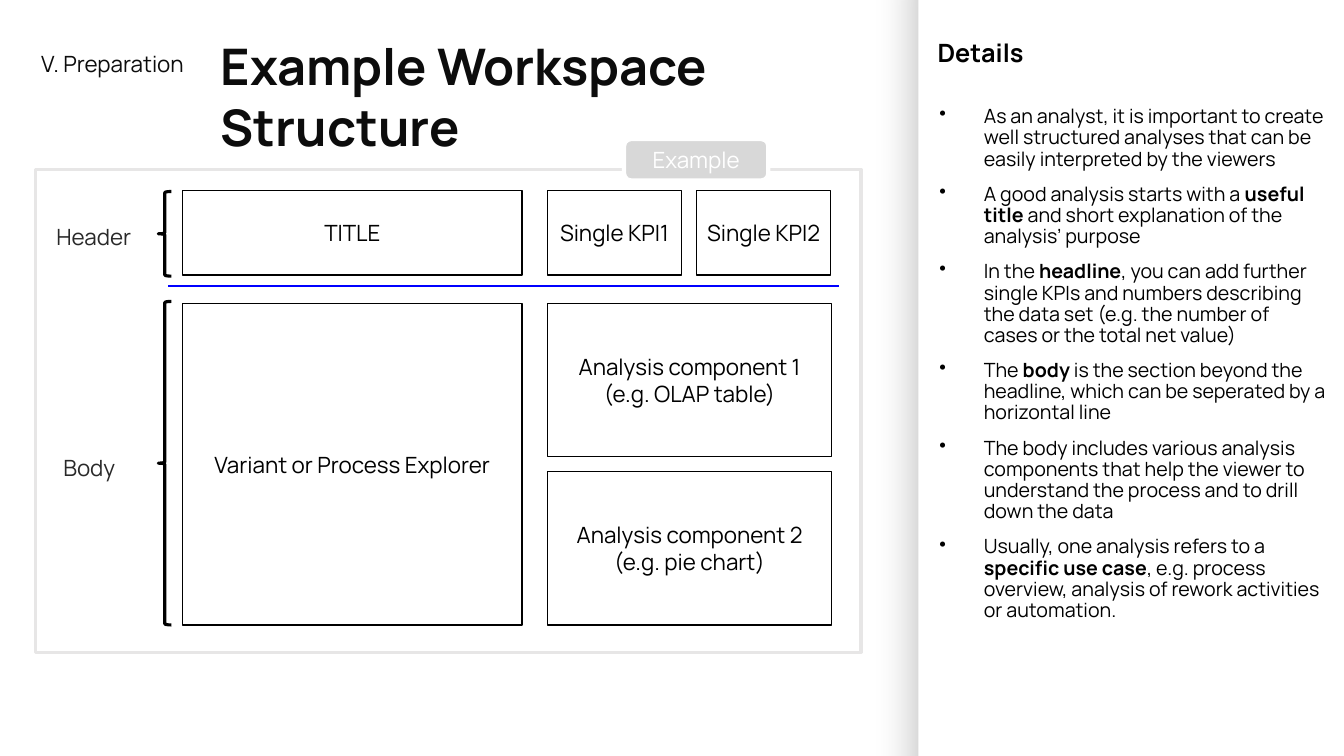
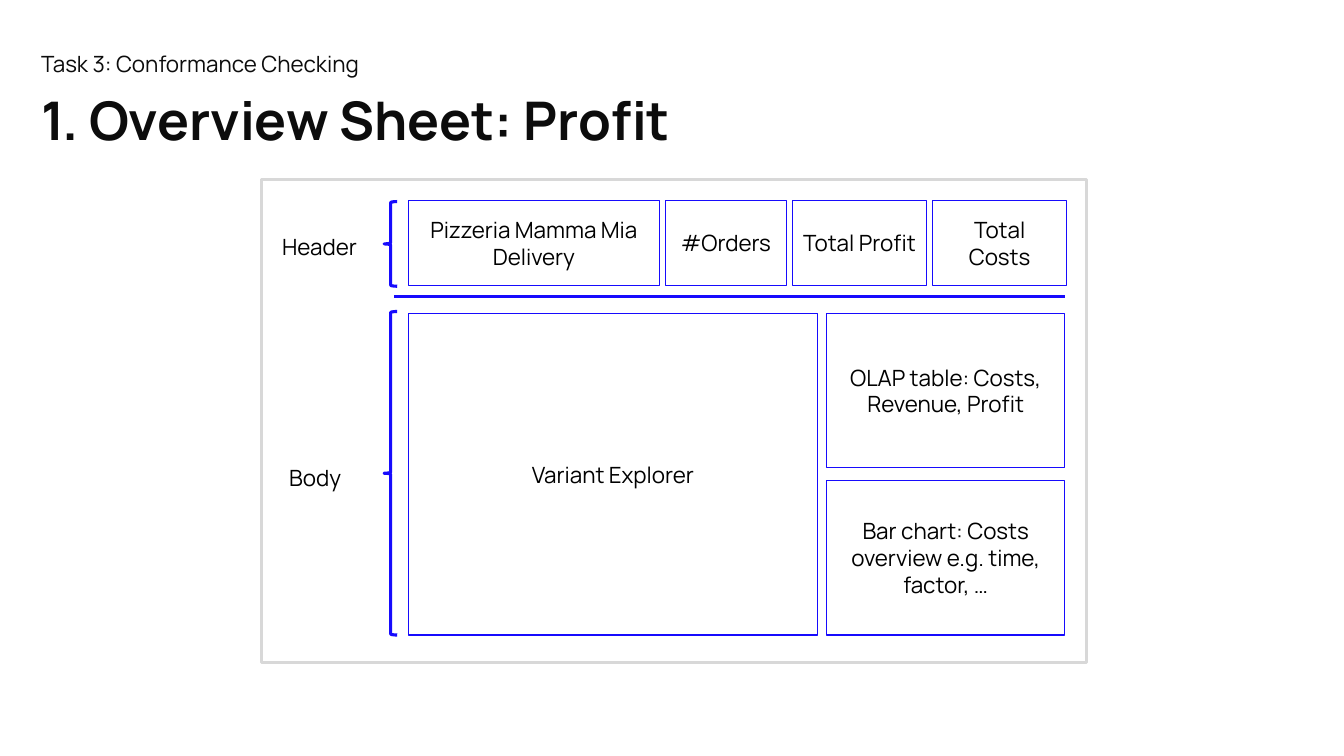
import itertools

import lxml.etree
import pptx
import pptx.dml.color
import pptx.enum.shapes
import pptx.enum.text
import pptx.oxml.ns
import pptx.util

FONT = "Manrope"
WHITE, BLACK, INK, GREY = "FFFFFF", "000000", "0C0C0C", "D8D8D8"
SHAPE = pptx.enum.shapes.MSO_SHAPE
ALIGN = pptx.enum.text.PP_ALIGN
ANCHOR = pptx.enum.text.MSO_ANCHOR
AUTO_SIZE = pptx.enum.text.MSO_AUTO_SIZE
Inches, Pt = pptx.util.Inches, pptx.util.Pt

# Wireframe geometry, measured from the corner of its frame.
FRAME_W, FRAME_H = 8.19, 4.79
BOX_LEFT = 1.46
HEADER_TOP, HEADER_H = 0.21, 0.84
RULE_LEFT, RULE_TOP, RULE_W = 1.32, 1.16, 6.65
BODY_TOP, BODY_H = 1.33, 3.19
BRACE_LEFT, BRACE_W = 1.22, 0.13

DETAILS = [
    "As an analyst, it is important to create well structured analyses that "
    "can be easily interpreted by the viewers",
    "A good analysis starts with a **useful title **and short explanation of "
    "the analysis’ purpose",
    "In the **headline**, you can add further single KPIs and numbers "
    "describing the data set (e.g. the number of cases or the total net value)",
    "The **body** is the section beyond the headline, which can be seperated "
    "by a horizontal line",
    "The body includes various analysis components that help the viewer to "
    "understand the process and to drill down the data",
    "Usually, one analysis refers to a **specific use case**, e.g. process "
    "overview, analysis of rework activities or automation.",
]


def rgb(color):
    return pptx.dml.color.RGBColor.from_string(color)


def add_xml(parent, tag, **attrs):
    child = lxml.etree.SubElement(parent, pptx.oxml.ns.qn(tag))
    for name, value in attrs.items():
        child.set(name, str(value))
    return child


def style_font(font, size, color, bold=False):
    font.name, font.size, font.bold = FONT, Pt(size), bold
    font.color.rgb = rgb(color)


def add_text(s, text, x, y, w, h, size=16, color=INK, bold=False, grow=True):
    sp = s.shapes.add_textbox(Inches(x), Inches(y), Inches(w), Inches(h))
    tf = sp.text_frame
    tf.word_wrap = True
    if grow:
        tf.auto_size = AUTO_SIZE.SHAPE_TO_FIT_TEXT
    tf.text = text
    for p in tf.paragraphs:
        for r in p.runs:
            style_font(r.font, size, color, bold)
    return sp


def add_block(s, kind, x, y, w, h, fill=None, line=None, weight=1.0,
              text="", color=BLACK):
    """Preset shape with optional fill, outline and centred text."""
    sp = s.shapes.add_shape(kind, Inches(x), Inches(y), Inches(w), Inches(h))
    sp.shadow.inherit = False
    if fill:
        sp.fill.solid()
        sp.fill.fore_color.rgb = rgb(fill)
    else:
        sp.fill.background()
    if line:
        sp.line.color.rgb = rgb(line)
        sp.line.width = Pt(weight)
    else:
        sp.line.fill.background()
    if text:
        tf = sp.text_frame
        tf.word_wrap = True
        tf.vertical_anchor = ANCHOR.MIDDLE
        tf.text = text
        for p in tf.paragraphs:
            p.alignment = ALIGN.CENTER
            for r in p.runs:
                style_font(r.font, 16, color)
    return sp


def add_rule(s, x, y, w, color):
    line = s.shapes.add_connector(
        pptx.enum.shapes.MSO_CONNECTOR.STRAIGHT,
        Inches(x), Inches(y), Inches(x + w), Inches(y))
    line.line.color.rgb = rgb(color)
    line.line.width = Pt(1.75)
    add_xml(line._element.spPr, "a:effectLst")


def add_bullets(s, items, x, y, w, h):
    """Bulleted list; text between ** marks is bold."""
    sp = s.shapes.add_textbox(Inches(x), Inches(y), Inches(w), Inches(h))
    tf = sp.text_frame
    tf.word_wrap = True
    for i, item in enumerate(items):
        p = tf.add_paragraph() if i else tf.paragraphs[0]
        pPr = p._p.get_or_add_pPr()
        pPr.set("marL", str(Inches(0.5)))
        pPr.set("indent", str(Inches(-0.44)))
        add_xml(add_xml(pPr, "a:buClr"), "a:srgbClr", val=BLACK)
        add_xml(pPr, "a:buChar", char="•")
        p.line_spacing = 0.9
        if i:
            p.space_before = Pt(10)
        for j, part in enumerate(item.split("**")):
            r = p.add_run()
            r.text = part
            style_font(r.font, 14, BLACK, bold=j % 2 == 1)


def add_side_panel(s):
    """White panel bleeding off the right edge, with a soft shadow."""
    panel = add_block(s, SHAPE.ROUNDED_RECTANGLE, 9.11, -0.54, 4.53, 8.64,
                      WHITE)
    panel.adjustments[0] = 0.084
    effects = panel._element.spPr.find(pptx.oxml.ns.qn("a:effectLst"))
    shadow = add_xml(effects, "a:outerShdw", blurRad=Pt(30), dist=Pt(3),
                     dir=135 * 60000, algn="tr", rotWithShape=0)
    add_xml(add_xml(shadow, "a:srgbClr", val=BLACK), "a:alpha", val=25000)
    heading = add_text(s, "Details", 9.14, 0.32, 1.25, 0.59, 18, BLACK,
                       bold=True, grow=False)
    heading.text_frame.paragraphs[0]._p.get_or_add_pPr().set(
        "marL", str(Inches(0.06)))
    add_bullets(s, DETAILS, 9.16, 1.01, 4.1, 6.14)


def add_wireframe(s, left, top, header, main, components, frame_line, rule,
                  outline, label_color, fill=None):
    """Framed sheet sketch.

    header: (x, width, text) boxes; main: (width, text);
    components: (x, width, gap, texts) stacked beside the main box.
    """
    add_block(s, SHAPE.RECTANGLE, left, top, FRAME_W, FRAME_H,
              line=frame_line, weight=2.25)
    add_rule(s, left + RULE_LEFT, top + RULE_TOP, RULE_W, rule)
    for label, dx, dy, brace_y, brace_h in (
            ("Header", 0.11, 0.48, HEADER_TOP + 0.01, HEADER_H),
            ("Body", 0.18, 2.78, BODY_TOP - 0.02, BODY_H + 0.02)):
        add_block(s, SHAPE.LEFT_BRACE, left + BRACE_LEFT, top + brace_y,
                  BRACE_W, brace_h, fill, outline, 2.25)
        add_text(s, label, left + dx, top + dy, 1.21, 0.37, color=label_color)

    boxes = [(x, HEADER_TOP, w, HEADER_H, text) for x, w, text in header]
    boxes.append((BOX_LEFT, BODY_TOP, main[0], BODY_H, main[1]))
    x, w, gap, texts = components
    h = (BODY_H - gap * (len(texts) - 1)) / len(texts)
    boxes += [(x, BODY_TOP + i * (h + gap), w, h, text)
              for i, text in enumerate(texts)]
    for x, y, w, h, text in boxes:
        add_block(s, SHAPE.RECTANGLE, left + x, top + y, w, h, fill, outline,
                  text=text)


def row(x, gap, *cells):
    """Place (width, text) cells from x with equal gaps."""
    starts = itertools.accumulate((w + gap for w, _ in cells), initial=x)
    return [(start, w, text) for start, (w, text) in zip(starts, cells)]


def add_slide(prs, section, section_w, title, x, y, h, size):
    s = prs.slides.add_slide(prs.slide_layouts[6])
    add_text(s, section, 0.31, 0.45, section_w, 0.37)
    add_text(s, title, x, y, 6.65, h, size, bold=True)
    return s


def build_workspace(prs):
    s = add_slide(prs, "V. Preparation", 1.79, "Example Workspace Structure",
                  2.09, 0.3, 1.31, 36)
    add_side_panel(s)
    header = (row(BOX_LEFT, 0, (3.37, "TITLE"))
              + row(5.08, 0.15, (1.33, "Single KPI1"), (1.33, "Single KPI2")))
    add_wireframe(
        s, 0.35, 1.68, header, (3.37, "Variant or Process Explorer"),
        (5.08, 2.82, 0.15, ["Analysis component 1\n(e.g. OLAP table)",
                            "Analysis component 2\n(e.g. pie chart)"]),
        frame_line="E7E6E6", rule="0000FF", outline=BLACK,
        label_color="292929", fill=WHITE)
    add_block(s, SHAPE.ROUNDED_RECTANGLE, 6.19, 1.38, 1.43, 0.41, GREY, WHITE,
              3, "Example", WHITE)


def build_profit(prs):
    s = add_slide(prs, "Task 3: Conformance Checking", 3.73,
                  "1. Overview Sheet: Profit", 0.31, 0.82, 0.74, 38)
    header = row(BOX_LEFT, 0.06, (2.49, "Pizzeria Mamma Mia\nDelivery"),
                 (1.2, "#Orders"), (1.33, "Total Profit"),
                 (1.33, "Total Costs"))
    add_wireframe(
        s, 2.59, 1.78, header, (4.06, "Variant Explorer"),
        (5.61, 2.36, 0.13, ["OLAP table: Costs, Revenue, Profit",
                            "Bar chart: Costs overview e.g. time, factor, …"]),
        frame_line=GREY, rule="170BFD", outline="170BFD", label_color=BLACK)


def main():
    prs = pptx.Presentation()
    prs.slide_width, prs.slide_height = Inches(13.33), Inches(7.5)
    build_workspace(prs)
    build_profit(prs)
    prs.save("out.pptx")


if __name__ == "__main__":
    main()
